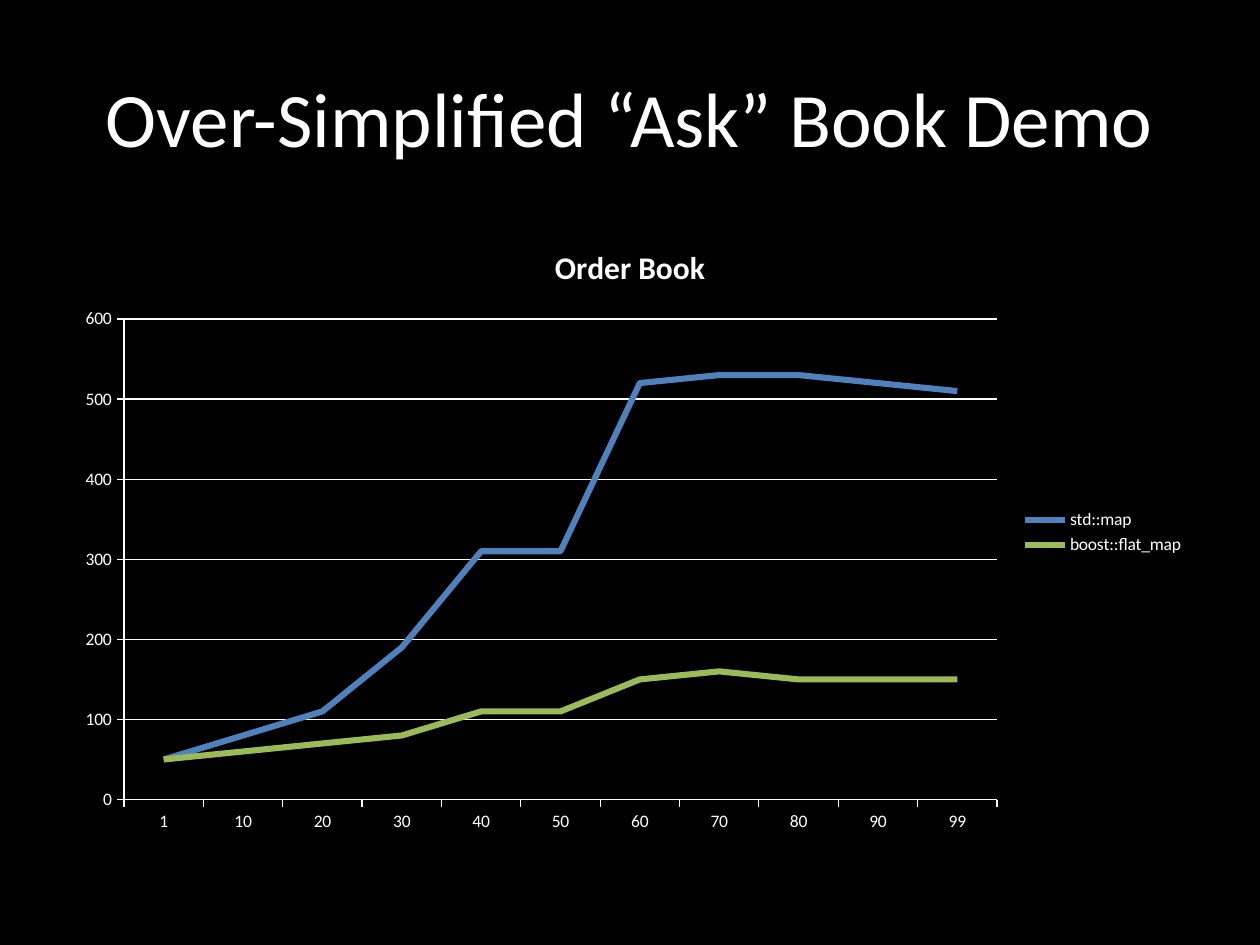
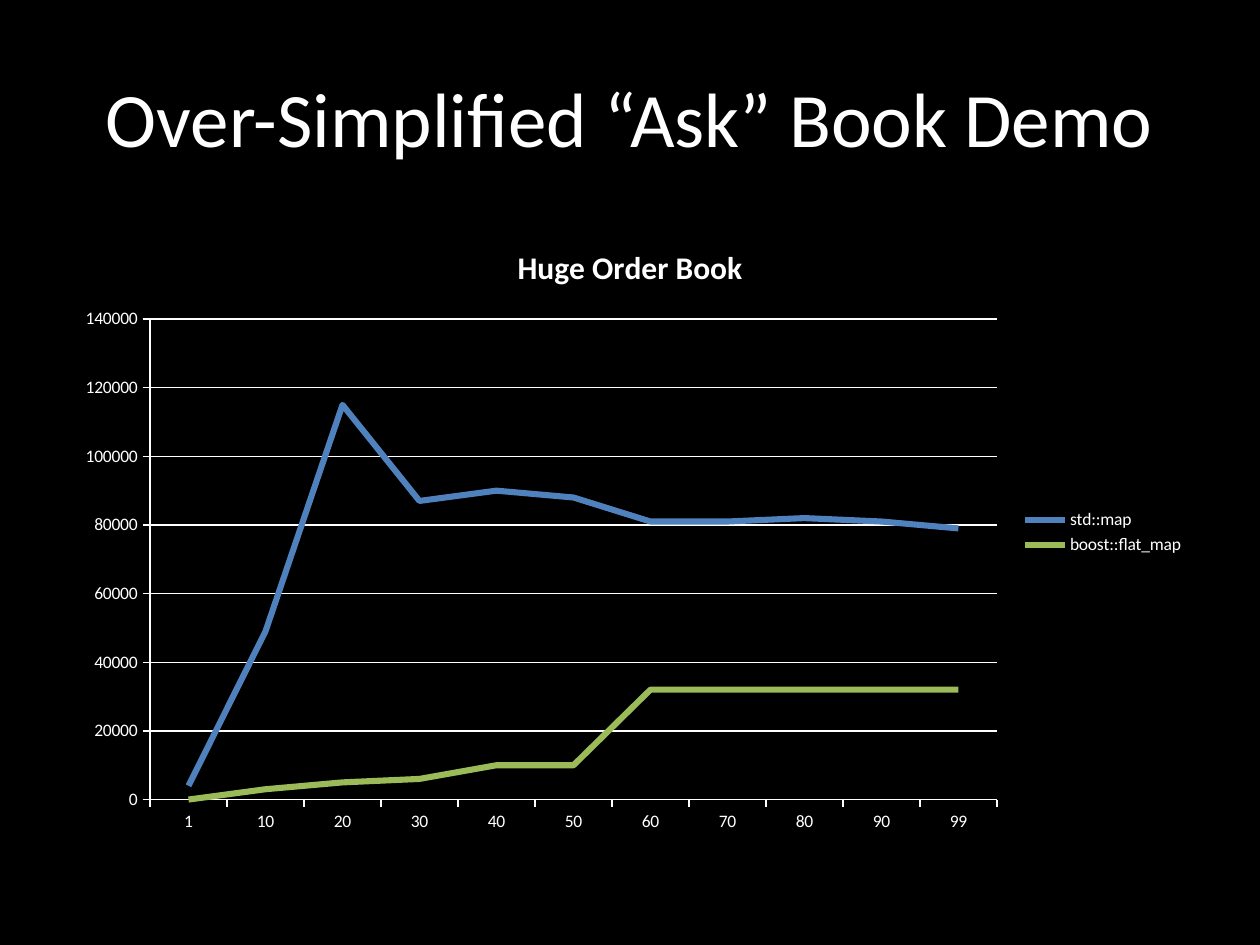
from pptx import Presentation
from pptx.chart.data import CategoryChartData
from pptx.dml.color import RGBColor
from pptx.enum.chart import XL_CHART_TYPE, XL_LEGEND_POSITION, XL_TICK_MARK
from pptx.enum.text import MSO_ANCHOR, PP_ALIGN
from pptx.util import Inches, Pt

LINE_CHART = XL_CHART_TYPE.LINE
LEGEND_RIGHT = XL_LEGEND_POSITION.RIGHT
TICK_OUTSIDE = XL_TICK_MARK.OUTSIDE
TICK_NONE = XL_TICK_MARK.NONE
MIDDLE = MSO_ANCHOR.MIDDLE
CENTER = PP_ALIGN.CENTER

FONT = "Calibri"
COLORS = {
    "background": "000000",
    "text": "FFFFFF",
    "std::map": "4F81BD",
    "boost::flat_map": "9BBB59",
}
TITLE = "Over-Simplified “Ask” Book Demo"
CATEGORIES = ["1", "10", "20", "30", "40", "50", "60", "70", "80", "90", "99"]
CHARTS = [
    ("Order Book", 600, 100, {
        "std::map": [50, 80, 110, 190, 310, 310, 520, 530, 530, 520, 510],
        "boost::flat_map": [50, 60, 70, 80, 110, 110, 150, 160, 150, 150, 150],
    }),
    ("Huge Order Book", 140000, 20000, {
        "std::map": [4000, 49000, 115000, 87000, 90000, 88000,
                     81000, 81000, 82000, 81000, 79000],
        "boost::flat_map": [0, 3000, 5000, 6000, 10000, 10000,
                            32000, 32000, 32000, 32000, 32000],
    }),
]

LEFT, WIDTH = Inches(0.5), Inches(9)
TITLE_TOP, TITLE_HEIGHT = Inches(0.3), Inches(1.25)
CHART_TOP, CHART_HEIGHT = Inches(1.75), Inches(4.95)


def color(name):
    return RGBColor.from_string(COLORS[name])


def style_font(font, size, bold=False):
    font.name = FONT
    font.size = Pt(size)
    font.bold = bold
    font.color.rgb = color("text")


def style_line(line, color_name, width):
    line.color.rgb = color(color_name)
    line.width = Pt(width)


def add_title(slide):
    frame = slide.shapes.add_textbox(LEFT, TITLE_TOP, WIDTH, TITLE_HEIGHT).text_frame
    frame.word_wrap = True
    frame.vertical_anchor = MIDDLE
    paragraph = frame.paragraphs[0]
    paragraph.text = TITLE
    paragraph.alignment = CENTER
    style_font(paragraph.font, 44)


def add_line_chart(slide, heading, maximum, step, series_values):
    data = CategoryChartData(number_format="General")
    data.categories = CATEGORIES
    for name, values in series_values.items():
        data.add_series(name, values)
    chart = slide.shapes.add_chart(
        LINE_CHART, LEFT, CHART_TOP, WIDTH, CHART_HEIGHT, data).chart
    style_font(chart.font, 10)

    chart.has_title = True
    chart.chart_title.include_in_layout = False
    paragraph = chart.chart_title.text_frame.paragraphs[0]
    paragraph.text = heading
    style_font(paragraph.font, 18, bold=True)

    chart.has_legend = True
    chart.legend.position = LEGEND_RIGHT
    chart.legend.include_in_layout = False

    for axis in (chart.category_axis, chart.value_axis):
        axis.major_tick_mark = TICK_OUTSIDE
        axis.minor_tick_mark = TICK_NONE
        style_line(axis.format.line, "text", 0.75)
    value_axis = chart.value_axis
    value_axis.minimum_scale = 0
    value_axis.maximum_scale = maximum
    value_axis.major_unit = step
    value_axis.has_major_gridlines = True
    style_line(value_axis.major_gridlines.format.line, "text", 0.75)

    for series in chart.plots[0].series:
        series.smooth = False
        style_line(series.format.line, series.name, 3.5)


def main():
    presentation = Presentation()
    presentation.slide_width = Inches(10)
    presentation.slide_height = Inches(7.5)
    blank_layout = presentation.slide_layouts[6]
    for chart_content in CHARTS:
        slide = presentation.slides.add_slide(blank_layout)
        slide.background.fill.solid()
        slide.background.fill.fore_color.rgb = color("background")
        add_title(slide)
        add_line_chart(slide, *chart_content)
    presentation.save("out.pptx")


if __name__ == "__main__":
    main()
